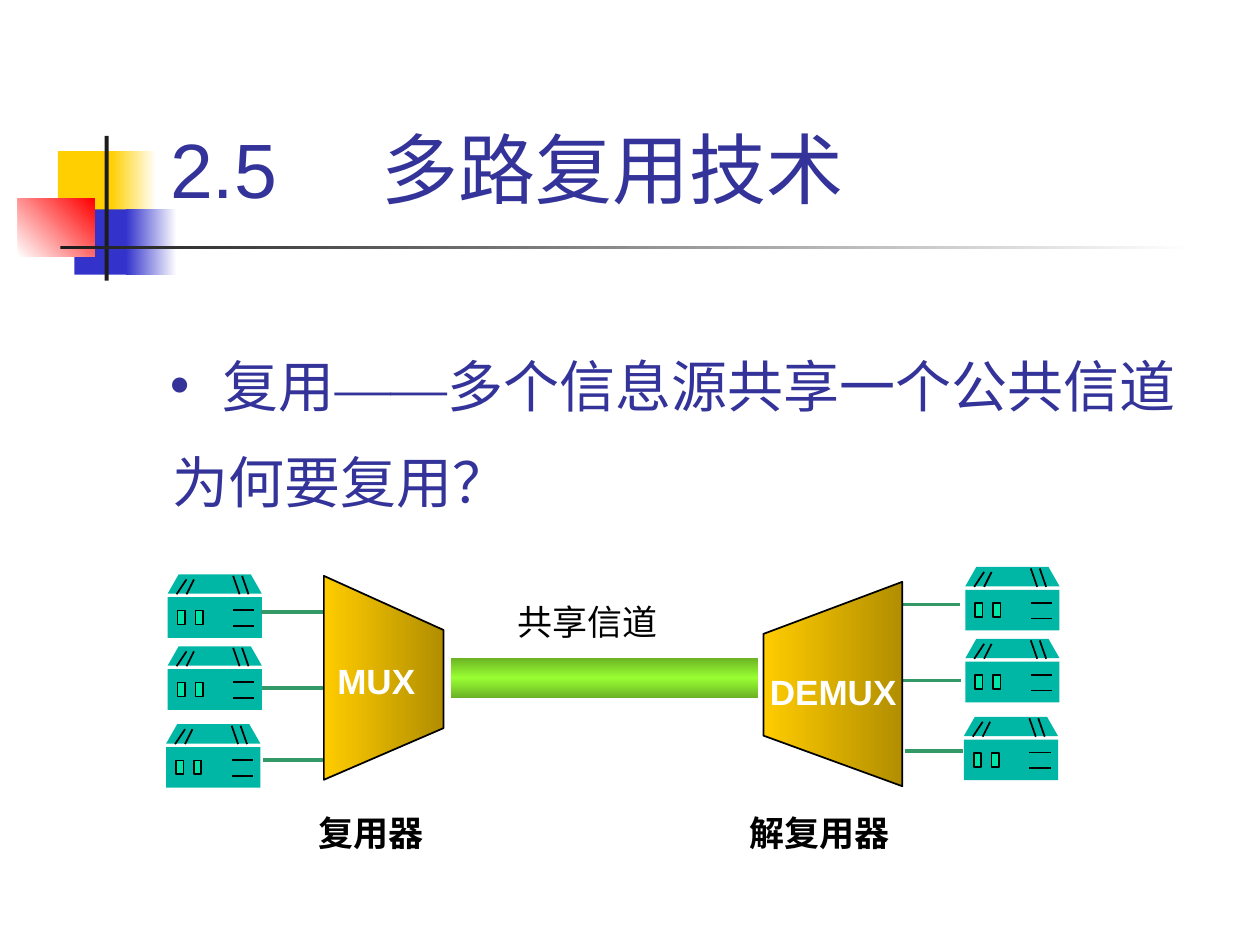
"""Build the multiplexing slide with its MUX / DEMUX diagram."""
from lxml.etree import SubElement
from pptx import Presentation
from pptx.dml.color import RGBColor
from pptx.enum.shapes import MSO_CONNECTOR, MSO_SHAPE
from pptx.enum.text import MSO_ANCHOR
from pptx.oxml.ns import qn
from pptx.util import Cm, Pt

COLORS = {
    "yellow": "FFCF01", "blue": "3333CC", "red": "FF0000", "dark": "1C1C1C",
    "white": "FFFFFF", "black": "000000", "text": "333399",
    "gold": "FFCC00", "bronze": "B28E00", "lime": "99FF33", "moss": "6BB224",
    "teal": "00B7A5", "mint": "00E4A8", "link": "339966",
}
CJK = "Noto Sans CJK SC"
SERIF = "Times New Roman"

DECORATIONS = [
    ((1.17, 3.05, 1.22, 1.32), ["yellow"], 0),
    ((2.24, 3.05, 0.91, 1.32), ["yellow", "white"], 0),
    ((1.5, 4.22, 1.17, 1.32), ["blue"], 0),
    ((2.54, 4.22, 1.02, 1.32), ["blue", "white"], 0),
    ((0.36, 4.01, 1.55, 1.17), ["white", "red"], 45),
    ((2.11, 2.74, 0.08, 2.92), ["dark"], 0),
    ((1.22, 4.95, 22.86, 0.08), ["dark", "white"], 0),
]
TITLE = ("2.5\t多路复用技术", (3.18, 1.9, 17.15, 2.54))
TITLE_TAB = 4.27
BODY_BOX = (2.74, 5.51, 21.79, 5.51)
BODY = [
    {"runs": [("复用", CJK), ("——", SERIF), ("多个信息源共享一个公共信道", CJK)],
     "margin": 1.5, "indent": -1.09, "bullet": True},
    {"runs": [("为何要复用？", CJK)], "margin": 0.49, "indent": 0, "bullet": False},
]
FUNNELS = [
    [(6.53, 11.61), (8.94, 12.7), (8.94, 14.68), (6.53, 15.72)],
    [(18.19, 11.73), (15.39, 12.78), (15.39, 14.83), (18.19, 15.85)],
]
CHANNEL = (9.09, 13.26, 6.2, 0.81)
LABELS = [
    ("MUX", (6.55, 13.18, 2.08, 1.09), "white", True),
    ("DEMUX", (15.27, 13.39, 3.07, 1.09), "white", True),
    ("复用器", (6.17, 16.23, 2.64, 1.09), "black", True),
    ("解复用器", (14.86, 16.23, 3.35, 1.09), "black", True),
    ("共享信道", (10.19, 11.99, 3.35, 1.09), "black", False),
]
LEFT_MACHINES = [(3.38, 11.58), (3.38, 13.03), (3.35, 14.6)]
RIGHT_SHIFT = (16.08, -0.15)
LINKS = [
    (5.27, 6.53, 12.34), (5.28, 6.53, 13.87), (5.31, 6.55, 15.32),
    (18.21, 19.35, 12.19), (18.21, 19.38, 13.72), (18.24, 19.41, 15.14),
]
MACHINE_LINES = [
    (1.75, 0.72, 1.32, 0.72), (1.75, 1.04, 1.32, 1.04),
    (0.38, 0.4, 0.53, 0.1), (0.18, 0.4, 0.38, 0.1),
    (1.45, 0.4, 1.32, 0.03), (1.63, 0.4, 1.5, 0.03),
]


def color(name):
    return RGBColor.from_string(COLORS[name])


def paint(shape, names, angle=0, outline=None):
    shape.shadow.inherit = False
    if len(names) == 1:
        shape.fill.solid()
        shape.fill.fore_color.rgb = color(names[0])
    else:
        shape.fill.gradient()
        shape.fill.gradient_angle = angle
        stops = shape.element.spPr.find(".//" + qn("a:gsLst"))
        for stop in list(stops):
            stops.remove(stop)
        for index, name in enumerate(names):
            stop = SubElement(stops, qn("a:gs"), pos=str(100000 * index // (len(names) - 1)))
            SubElement(stop, qn("a:srgbClr"), val=COLORS[name])
    if outline:
        shape.line.color.rgb = color(outline)
        shape.line.width = Pt(1)
    else:
        shape.line.fill.background()


def add_block(shapes, box, names, angle=0, outline=None, kind=MSO_SHAPE.RECTANGLE):
    shape = shapes.add_shape(kind, *map(Cm, box))
    paint(shape, names, angle, outline)
    return shape


def add_line(shapes, points, name, width):
    line = shapes.add_connector(MSO_CONNECTOR.STRAIGHT, *map(Cm, points))
    line.line.color.rgb = color(name)
    line.line.width = Pt(width)
    SubElement(line.element.spPr, qn("a:effectLst"))


def add_machine(slide, left, top):
    shapes = slide.shapes.add_group_shape().shapes
    roof = add_block(shapes, (left, top, 1.9, 0.39), ["teal"], kind=MSO_SHAPE.TRAPEZOID)
    roof.adjustments[0] = 0.57
    add_block(shapes, (left, top + 0.46, 1.9, 0.82), ["teal"])
    for offset in (0.2, 0.56):
        add_block(shapes, (left + offset, top + 0.73, 0.15, 0.28), ["mint"], outline="black")
    for x1, y1, x2, y2 in MACHINE_LINES:
        add_line(shapes, (left + x1, top + y1, left + x2, top + y2), "black", 1)


def add_funnel(slide, points):
    corners = [(Cm(x), Cm(y)) for x, y in points]
    builder = slide.shapes.build_freeform(*corners[0])
    builder.add_line_segments(corners[1:], close=True)
    paint(builder.convert_to_shape(), ["gold", "bronze"], 0, "black")


def add_frame(slide, box, wrap=True, anchor=MSO_ANCHOR.TOP):
    frame = slide.shapes.add_textbox(*map(Cm, box)).text_frame
    frame.word_wrap = wrap
    frame.vertical_anchor = anchor
    return frame


def add_run(paragraph, text, font_name, size, name, bold=False):
    run = paragraph.add_run()
    run.text = text
    run.font.size = Pt(size)
    run.font.bold = bold
    run.font.color.rgb = color(name)
    run.font.name = font_name
    SubElement(run.font._element, qn("a:ea"), typeface=font_name)


def add_title(slide):
    text, box = TITLE
    paragraph = add_frame(slide, box, anchor=MSO_ANCHOR.BOTTOM).paragraphs[0]
    tabs = SubElement(paragraph._p.get_or_add_pPr(), qn("a:tabLst"))
    SubElement(tabs, qn("a:tab"), pos=str(Cm(TITLE_TAB)), algn="l")
    add_run(paragraph, text, "Arial", 44, "text")


def add_body(slide):
    frame = add_frame(slide, BODY_BOX, anchor=MSO_ANCHOR.MIDDLE)
    frame.margin_top = Cm(0.48)
    for index, item in enumerate(BODY):
        paragraph = frame.add_paragraph() if index else frame.paragraphs[0]
        properties = paragraph._p.get_or_add_pPr()
        properties.set("marL", str(Cm(item["margin"])))
        properties.set("indent", str(Cm(item["indent"])))
        if item["bullet"]:
            SubElement(properties, qn("a:buSzPct"), val="112500")
            SubElement(properties, qn("a:buFont"), typeface=SERIF)
            SubElement(properties, qn("a:buChar"), char="•")
        paragraph.line_spacing = Pt(55)
        for text, font_name in item["runs"]:
            add_run(paragraph, text, font_name, 32, "text")


def main():
    presentation = Presentation()
    presentation.slide_width, presentation.slide_height = Cm(25.4), Cm(19.05)
    slide = presentation.slides.add_slide(presentation.slide_layouts[6])
    for box, names, angle in DECORATIONS:
        add_block(slide.shapes, box, names, angle)
    add_title(slide)
    add_body(slide)
    for left, top in LEFT_MACHINES:
        add_machine(slide, left, top)
        add_machine(slide, left + RIGHT_SHIFT[0], top + RIGHT_SHIFT[1])
    for start, end, height in LINKS:
        add_line(slide.shapes, (start, height, end, height), "link", 2)
    add_block(slide.shapes, CHANNEL, ["moss", "lime", "moss"], 90)
    for points in FUNNELS:
        add_funnel(slide, points)
    for text, box, name, bold in LABELS:
        paragraph = add_frame(slide, box, wrap=False).paragraphs[0]
        add_run(paragraph, text, "Arial", 20, name, bold)
    presentation.save("out.pptx")


if __name__ == "__main__":
    main()
